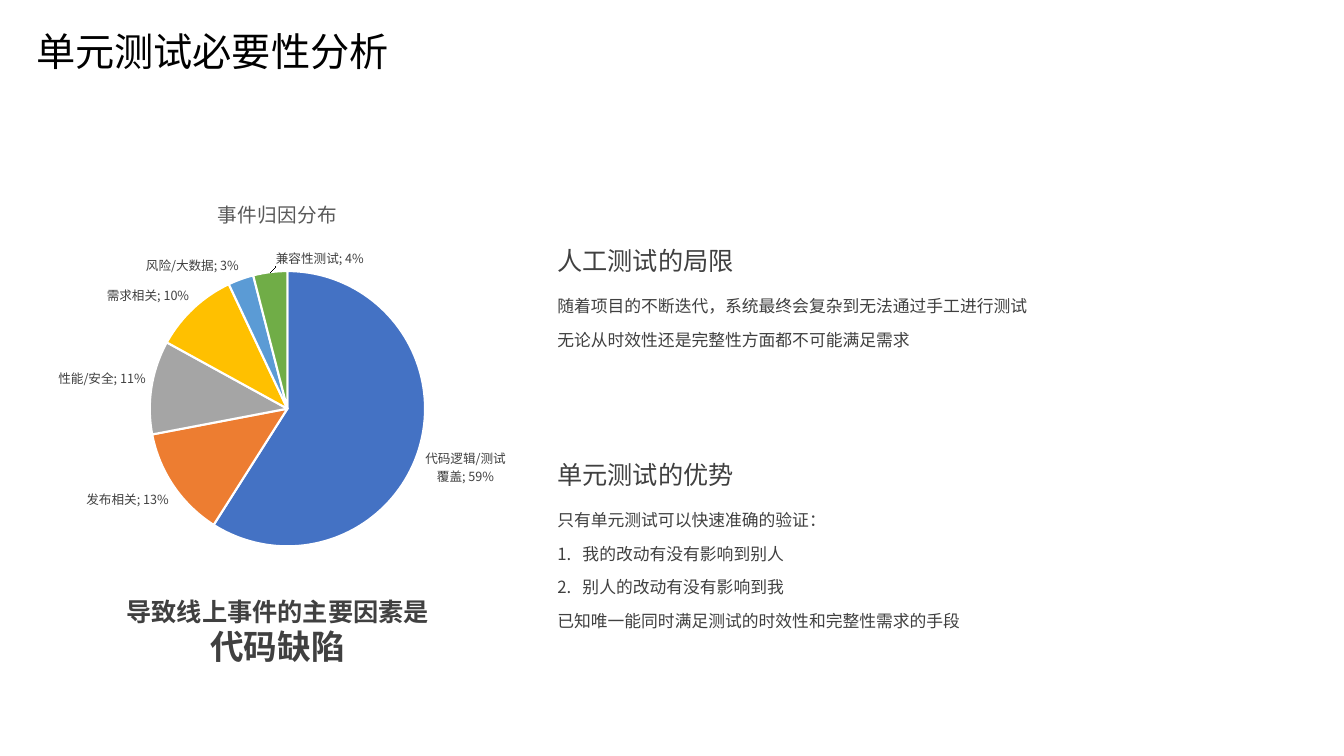
from lxml import etree
from pptx import Presentation
from pptx.chart.data import CategoryChartData
from pptx.dml.color import RGBColor
from pptx.enum.chart import XL_CHART_TYPE, XL_LABEL_POSITION
from pptx.enum.text import MSO_ANCHOR, PP_ALIGN
from pptx.oxml.ns import qn
from pptx.util import Pt

PIE = XL_CHART_TYPE.PIE
OUTSIDE_END = XL_LABEL_POSITION.OUTSIDE_END
TOP = MSO_ANCHOR.TOP
LEFT, CENTER = PP_ALIGN.LEFT, PP_ALIGN.CENTER

FONT = "Noto Sans CJK SC"
BLACK, DARK, GRAY, WHITE = "000000", "404040", "595959", "FFFFFF"

TITLE = "单元测试必要性分析"
CHART_TITLE = "事件归因分布"
CAUSES = [
    ("代码逻辑/测试覆盖", 0.59, "4472C4"),
    ("发布相关", 0.13, "ED7D31"),
    ("性能/安全", 0.11, "A5A5A5"),
    ("需求相关", 0.10, "FFC000"),
    ("风险/大数据", 0.03, "5B9BD5"),
    ("兼容性测试", 0.04, "70AD47"),
]
MOVED_LABEL, MOVED_LABEL_SHIFT = 5, 0.17
CONCLUSION = [("导致线上事件的主要因素是", 18), ("代码缺陷", 24)]
SECTIONS = [
    (161, "人工测试的局限", [
        ("随着项目的不断迭代，系统最终会复杂到无法通过手工进行测试", False),
        ("无论从时效性还是完整性方面都不可能满足需求", False),
    ]),
    (313.5, "单元测试的优势", [
        ("只有单元测试可以快速准确的验证：", False),
        ("我的改动有没有影响到别人", True),
        ("别人的改动有没有影响到我", True),
        ("已知唯一能同时满足测试的时效性和完整性需求的手段", False),
    ]),
]
SECTION_LEFT, SECTION_WIDTH = 391, 568.8
HEADING_HEIGHT, BODY_HEIGHT = 39.8, 54.7
HEADING_SIZE, BODY_SIZE = 18, 12


def color(value):
    return RGBColor.from_string(value)


def format_font(font, size, value, bold=False):
    for name, setting in {"name": FONT, "size": Pt(size), "bold": bold}.items():
        setattr(font, name, setting)
    font.color.rgb = color(value)


def add_run(paragraph, text, size, value, bold=False):
    run = paragraph.add_run()
    run.text = text
    format_font(run.font, size, value, bold)
    properties = run.font._element
    etree.SubElement(properties, qn("a:ea"), typeface=FONT)


def number_paragraph(paragraph):
    properties = paragraph._p.get_or_add_pPr()
    properties.set("marL", str(Pt(18)))
    properties.set("indent", str(Pt(-18)))
    etree.SubElement(properties, qn("a:buFont"), typeface=FONT)
    etree.SubElement(properties, qn("a:buAutoNum"), type="arabicPeriod")


def add_text(slide, box, lines, bold=False, alignment=LEFT, spacing=1.0, before=0):
    frame = slide.shapes.add_textbox(*map(Pt, box)).text_frame
    frame.word_wrap = True
    frame.vertical_anchor = TOP
    for index, (text, size, numbered) in enumerate(lines):
        paragraph = frame.add_paragraph() if index else frame.paragraphs[0]
        settings = {
            "alignment": alignment,
            "line_spacing": spacing,
            "space_before": Pt(size * before if index else 0),
        }
        for name, setting in settings.items():
            setattr(paragraph, name, setting)
        if numbered:
            number_paragraph(paragraph)
        add_run(paragraph, text, size, DARK, bold)


def add_title(slide):
    title = slide.shapes.title
    box = {"left": 18.7, "top": 19.4, "width": 596.2, "height": 50.4}
    for name, length in box.items():
        setattr(title, name, Pt(length))
    frame = title.text_frame
    frame.vertical_anchor = TOP
    paragraph = frame.paragraphs[0]
    paragraph.alignment = LEFT
    paragraph.line_spacing = 0.9
    add_run(paragraph, TITLE, 28, BLACK)


def move_label(series, index, shift):
    label = series.points[index].data_label
    label.position = OUTSIDE_END
    format_font(label.font, 9, DARK)
    element = series.data_labels._element.find(qn("c:dLbl"))
    element.find(qn("c:showCatName")).set("val", "1")
    layout = etree.Element(qn("c:layout"))
    manual = etree.SubElement(layout, qn("c:manualLayout"))
    for axis, offset in {"x": shift, "y": 0}.items():
        etree.SubElement(manual, qn(f"c:{axis}"), val=str(offset))
    number_format = etree.Element(qn("c:numFmt"), formatCode="0%", sourceLinked="0")
    element.insert(1, layout)
    element.insert(2, number_format)


def add_cause_chart(slide):
    data = CategoryChartData(number_format="0%")
    data.categories = [name for name, _, _ in CAUSES]
    data.add_series("Series 1", [share for _, share, _ in CAUSES])
    box = (0, 129.2, 396.7, 271)
    chart = slide.shapes.add_chart(PIE, *map(Pt, box), data).chart
    format_font(chart.font, 10, BLACK)
    chart.has_legend = False
    chart.has_title = True
    add_run(chart.chart_title.text_frame.paragraphs[0], CHART_TITLE, 14, GRAY)
    plot = chart.plots[0]
    plot.vary_by_categories = True
    series = plot.series[0]
    for index, (_, _, fill) in enumerate(CAUSES):
        point = series.points[index].format
        point.fill.solid()
        point.fill.fore_color.rgb = color(fill)
        point.line.color.rgb = color(WHITE)
        point.line.width = Pt(1.5)
    labels = series.data_labels
    settings = {
        "show_value": True,
        "show_category_name": True,
        "show_percentage": False,
        "number_format": "0%",
        "number_format_is_linked": False,
        "position": OUTSIDE_END,
    }
    for name, setting in settings.items():
        setattr(labels, name, setting)
    format_font(labels.font, 9, DARK)
    move_label(series, MOVED_LABEL, MOVED_LABEL_SHIFT)


def main():
    presentation = Presentation()
    presentation.slide_width, presentation.slide_height = Pt(960), Pt(540)
    slide = presentation.slides.add_slide(presentation.slide_layouts[5])
    add_title(slide)
    add_cause_chart(slide)
    conclusion = [(text, size, False) for text, size in CONCLUSION]
    add_text(slide, (39.2, 422.2, 318.2, 58.3), conclusion, True, CENTER)
    for top, heading, lines in SECTIONS:
        parts = [
            (top, HEADING_HEIGHT, [(heading, HEADING_SIZE, False)]),
            (top + HEADING_HEIGHT, BODY_HEIGHT,
             [(text, BODY_SIZE, numbered) for text, numbered in lines]),
        ]
        for part_top, height, content in parts:
            box = (SECTION_LEFT, part_top, SECTION_WIDTH, height)
            add_text(slide, box, content, spacing=1.5, before=0.2)
    presentation.save("out.pptx")


if __name__ == "__main__":
    main()
